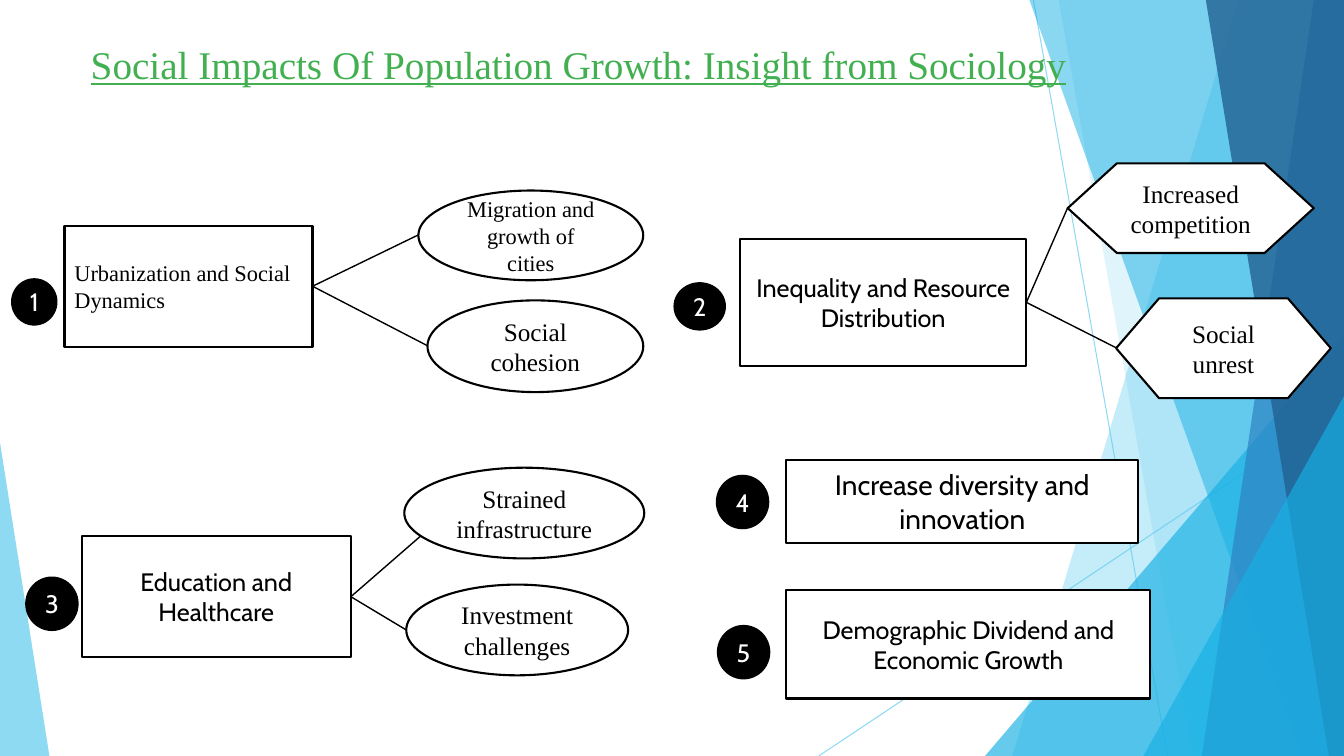
from lxml import etree
from pptx import Presentation
from pptx.dml.color import RGBColor
from pptx.enum.shapes import MSO_CONNECTOR, MSO_SHAPE
from pptx.enum.text import MSO_ANCHOR, PP_ALIGN
from pptx.oxml.ns import qn
from pptx.util import Pt

PX = 9144  # one px is a hundredth of an inch
WIDE, HIGH = 1333, 750
RECT, OVAL = MSO_SHAPE.RECTANGLE, MSO_SHAPE.OVAL
HEX, TRI = MSO_SHAPE.FLOWCHART_PREPARATION, MSO_SHAPE.ISOSCELES_TRIANGLE
STRAIGHT = MSO_CONNECTOR.STRAIGHT
LEFT, CENTER = PP_ALIGN.LEFT, PP_ALIGN.CENTER
TOP, MIDDLE = MSO_ANCHOR.TOP, MSO_ANCHOR.MIDDLE
SERIF, SANS = "Times New Roman", "Cabin"
BLACK, WHITE, GREEN = "000000", "FFFFFF", "42B051"
SKY, CYAN, BLUE, NAVY = "5FCBEF", "17B0E4", "2E83C3", "226292"

# Backdrop panes: corner points, colour, opacity in percent
PANES = [
    ([(1228, 0), (1333, 0), (1333, 750), (1004, 750)], SKY, 36),
    ([(1050, 0), (1333, 0), (1333, 750), (1183, 750)], SKY, 20),
    ([(977, 750), (1333, 333), (1333, 750)], CYAN, 66),
    ([(1021, 0), (1333, 0), (1333, 750), (1291, 750)], CYAN, 50),
    ([(1303, 0), (1333, 0), (1333, 750), (1192, 750)], BLUE, 70),
    ([(1196, 0), (1333, 0), (1333, 750), (1318, 750)], NAVY, 80),
]
# Backdrop triangles: box, apex place, colour, opacity
WEDGES = [
    ((1134, 393, 199, 357), 1, CYAN, 66),
    ((0, 439, 49, 311), 0, SKY, 70),
]
# Topics: box, text, format, badge box, branches (kind, box, text, size, line end)
TOPICS = [
    ((64, 224, 246, 120), "Urbanization and Social Dynamics",
     {"size": 16, "name": SERIF, "align": LEFT}, (12, 277, 44, 45), [
        (OVAL, (415, 189, 223, 89), "Migration and growth of cities", 16, None),
        (OVAL, (424, 298, 214, 91), "Social cohesion", 18, None)]),
    ((734, 237, 284, 126), "Inequality and Resource Distribution",
     {}, (669, 281, 50, 46), [
        (HEX, (1059, 162, 244, 89), "Increased competition", 18, None),
        (HEX, (1107, 296, 213, 99), "Social unrest", 18, None)]),
    ((81, 532, 267, 120), "Education and Healthcare",
     {}, (26, 573, 51, 52), [
        (OVAL, (401, 464, 238, 90), "Strained infrastructure", 18, (417, 532)),
        (OVAL, (403, 580, 220, 90), "Investment challenges", 18, None)]),
    ((780, 456, 349, 83), "Increase diversity and innovation",
     {"size": 20}, (711, 472, 51, 52), []),
    ((780, 585, 361, 108), "Demographic Dividend and Economic Growth",
     {}, (712, 621, 51, 52), []),
]


def emu(nums):
    return [num * PX for num in nums]


def tint(color, value, alpha=100):
    color.rgb = RGBColor.from_string(value)
    if alpha < 100:
        node = color._xFill.find(qn("a:srgbClr"))
        etree.SubElement(node, qn("a:alpha"), val=str(alpha * 1000))


def paint(shape, value, alpha=100):
    shape.shadow.inherit = False
    shape.fill.solid()
    tint(shape.fill.fore_color, value, alpha)


def write(shape, text, form, anchor=MIDDLE):
    look = {"size": 18, "name": SANS, "align": CENTER, "color": BLACK} | form
    frame = shape.text_frame
    frame.word_wrap = True
    frame.vertical_anchor = anchor
    para = frame.paragraphs[0]
    para.alignment = look.pop("align")
    run = para.add_run()
    run.text = text
    tint(run.font.color, look.pop("color"))
    look["size"] = Pt(look["size"])
    for key, value in look.items():
        setattr(run.font, key, value)


def add_line(slide, start, end, color=BLACK, width=1, alpha=100):
    line = slide.shapes.add_connector(STRAIGHT, *emu(start + end))
    line.line.width = Pt(width)
    line.line.fill.solid()
    tint(line.line.fill.fore_color, color, alpha)
    etree.SubElement(line._element.spPr, qn("a:effectLst"))


def add_node(slide, kind, box, text, form, fill=WHITE):
    node = slide.shapes.add_shape(kind, *emu(box))
    paint(node, fill)
    tint(node.line.color, BLACK)
    node.line.width = Pt(1.5)
    write(node, text, form)


def add_pane(slide, spots, color, alpha):
    form = slide.shapes.build_freeform(*spots[0], scale=PX)
    form.add_line_segments(spots[1:], close=True)
    pane = form.convert_to_shape()
    paint(pane, color, alpha)
    pane.line.fill.background()


def add_wedge(slide, box, apex, color, alpha):
    wedge = slide.shapes.add_shape(TRI, *emu(box))
    wedge.adjustments[0] = apex
    paint(wedge, color, alpha)
    wedge.line.fill.background()


def add_topic(slide, num, topic):
    box, text, form, badge, twigs = topic
    left, top, width, height = box
    root = (left + width, top + height // 2)
    add_node(slide, RECT, box, text, form)
    add_node(slide, OVAL, badge, str(num), {"color": WHITE}, BLACK)
    for kind, area, label, size, end in twigs:
        add_node(slide, kind, area, label, {"size": size, "name": SERIF})
        add_line(slide, root, end or (area[0], area[1] + area[3] // 2))


def add_title(slide, box, text):
    title = slide.shapes.title
    spots = dict(zip(("left", "top", "width", "height"), emu(box)))
    for key, value in spots.items():
        setattr(title, key, value)
    form = {"size": 28, "name": SERIF, "align": LEFT,
            "color": GREEN, "underline": True}
    write(title, text, form, TOP)


def main():
    deck = Presentation()
    deck.slide_width, deck.slide_height = emu((WIDE, HIGH))
    slide = deck.slides.add_slide(deck.slide_layouts[5])

    # Backdrop
    add_line(slide, (1025, 0), (1158, 750), SKY, 0.75, 70)
    add_line(slide, (1333, 403), (812, 750), SKY, 0.75, 70)
    for pane in PANES:
        add_pane(slide, *pane)
    for wedge in WEDGES:
        add_wedge(slide, *wedge)

    # Topics with their branches
    for num, topic in enumerate(TOPICS, 1):
        add_topic(slide, num, topic)

    # Title, raised above the backdrop
    add_title(slide, (80, 35, 1027, 151),
              "Social Impacts Of Population Growth: Insight from Sociology")
    slide.shapes._spTree.append(slide.shapes.title._element)
    deck.save("out.pptx")


if __name__ == "__main__":
    main()
